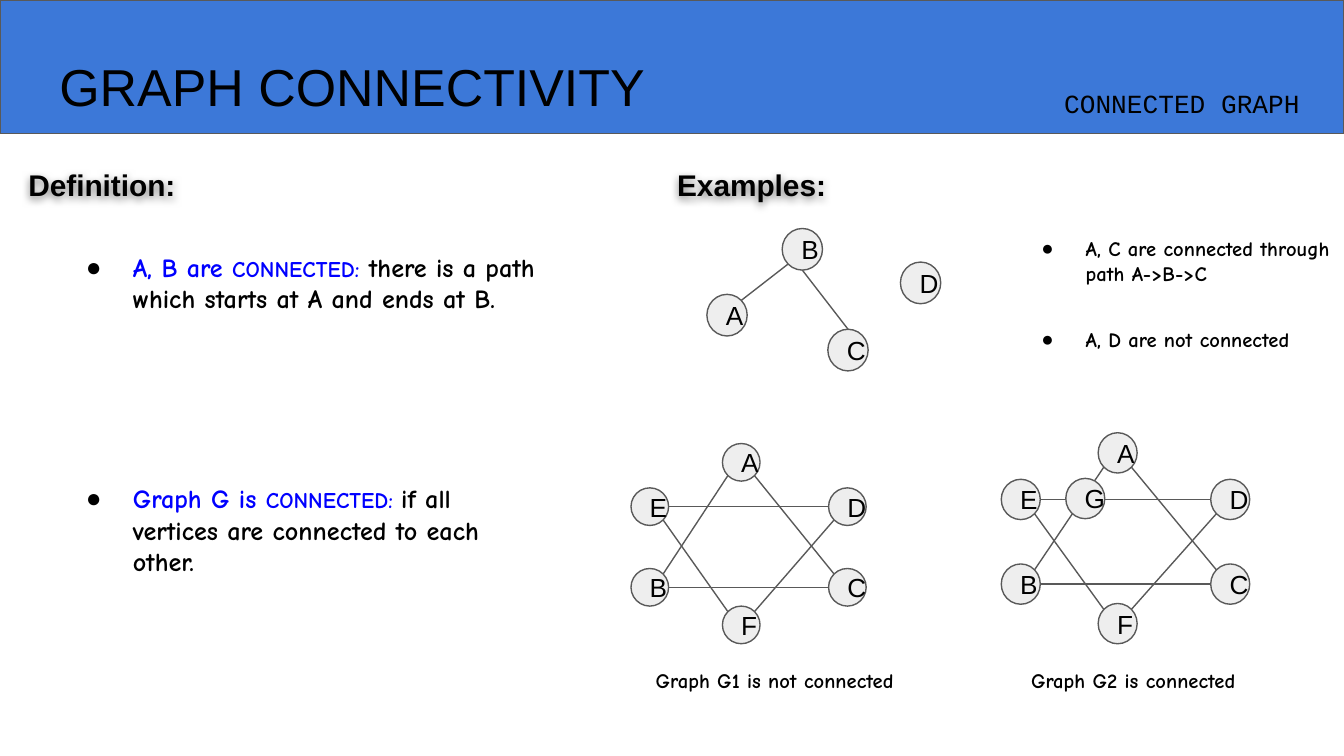
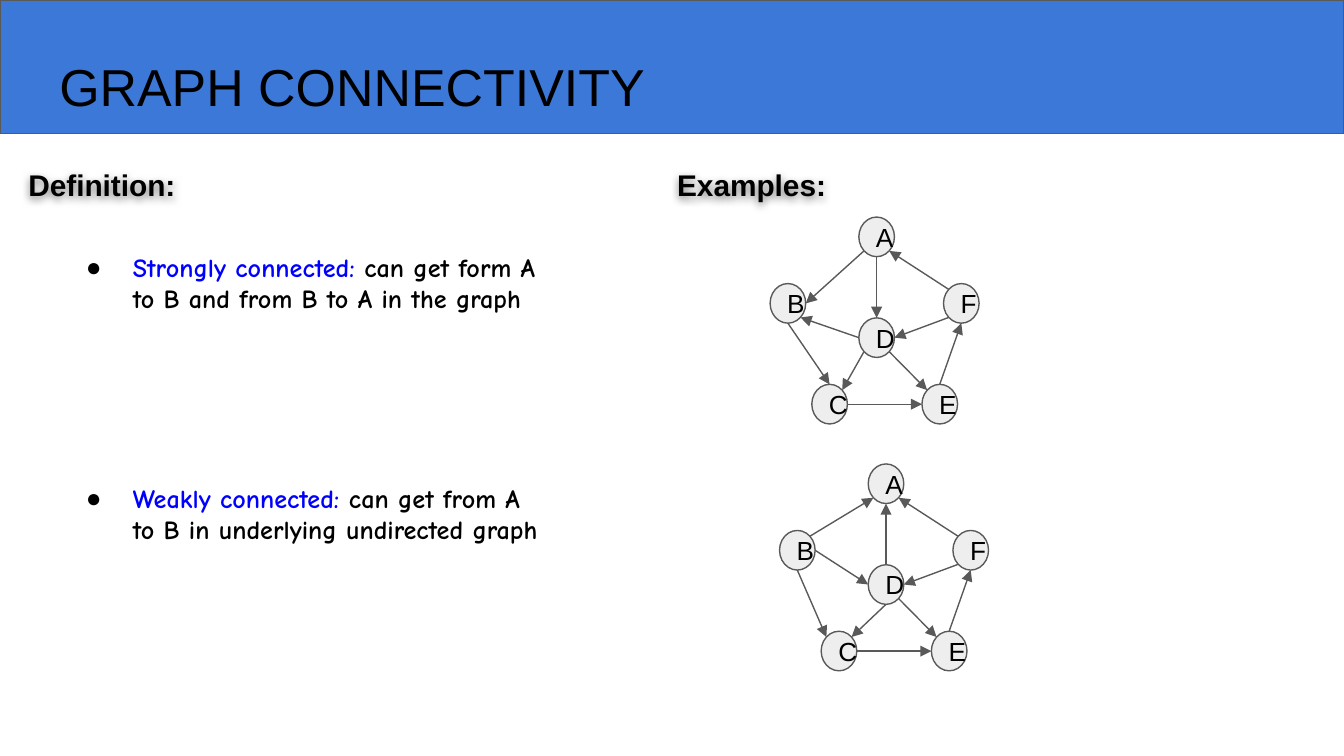
from lxml.etree import SubElement
from pptx import Presentation
from pptx.dml.color import RGBColor
from pptx.enum.shapes import MSO_CONNECTOR, MSO_SHAPE
from pptx.enum.text import MSO_ANCHOR, PP_ALIGN
from pptx.oxml.ns import qn
from pptx.util import Inches, Pt

# Grid: 100 columns by 56.25 rows of square cells
COLUMNS, ROWS = 100, 56.25
CELL = Inches(0.1)

COLOURS = {"band": "3C78D8", "outline": "595959", "node": "EEEEEE",
           "text": "000000", "term": "0000FF"}

# Font attributes for each kind of text
FORMATS = {
    "title": {"name": "Arial", "size": Pt(27.8)},
    "heading": {"name": "Arial", "size": Pt(16), "bold": True},
    "node": {"name": "Arial", "size": Pt(14)},
    "topic": {"name": "Courier New", "size": Pt(14)},
    "body": {"name": "Comic Neue", "size": Pt(14), "bold": True},
    "caps": {"name": "Comic Neue", "size": Pt(12), "bold": True},
    "note": {"name": "Comic Neue", "size": Pt(11), "bold": True},
}

# Places on a node's rim, as shares of its half width and half height
DIAGONAL = 0.71
RIM = {"n": (0, -1), "s": (0, 1), "w": (-1, 0), "e": (1, 0),
       "nw": (-DIAGONAL, -DIAGONAL), "ne": (DIAGONAL, -DIAGONAL),
       "sw": (-DIAGONAL, DIAGONAL), "se": (DIAGONAL, DIAGONAL)}

# Graph layouts: top left cell of each node, from the graph's own corner
PATH_NODES = {"A": (0, 4.9), "B": (5.6, 0), "D": (14.4, 2.5), "C": (9, 7.5)}
PATH_EDGES = ["A ne B sw", "B s C n"]
STAR_NODES = {"B": (0, 9.3), "C": (14.7, 9.3), "A": (6.8, 0),
              "D": (14.7, 3.3), "E": (0, 3.3), "F": (6.8, 12.1)}
STAR_EDGES = ["A sw B ne", "B e C w", "A se C nw",
              "E se F nw", "F ne D sw", "E e D w"]
PENTAGON_NODES = {"A": (6.6, 0), "B": (0, 4.95), "C": (3.1, 12.45),
                  "E": (11.3, 12.45), "F": (12.9, 4.95), "D": (6.6, 7.5)}
STRONG_EDGES = ["A sw B e", "B s C n", "C e E w", "E n F s", "F nw A se",
                "A s D n", "F sw D e", "D w B se", "D sw C ne", "D se E nw"]
WEAK_EDGES = ["B ne A sw", "F nw A se", "D n A s", "B s C nw", "D s C ne",
              "D se E nw", "E n F s", "C e E w", "B e D w", "F sw D e"]


def cells(*lengths):
    return [round(length * CELL) for length in lengths]


def colour(key):
    return RGBColor.from_string(COLOURS[key])


def add_run(paragraph, words, style, ink="text"):
    run = paragraph.add_run()
    run.text = words
    for attribute, value in FORMATS[style].items():
        setattr(run.font, attribute, value)
    run.font.color.rgb = colour(ink)


def set_margins(frame):
    for side in ("left", "right", "top", "bottom"):
        setattr(frame, f"margin_{side}", CELL)
    frame.word_wrap = True


def paint(shape, fill):
    shape.shadow.inherit = False
    shape.fill.solid()
    shape.fill.fore_color.rgb = colour(fill)
    draw_outline(shape)


def draw_outline(item):
    item.line.color.rgb = colour("outline")
    item.line.width = Pt(0.75)


def add_text(slide, place, *runs):
    """Each run is (words, style) or (words, style, ink)."""
    box = slide.shapes.add_textbox(*cells(*place))
    set_margins(box.text_frame)
    for run in runs:
        add_run(box.text_frame.paragraphs[0], *run)
    return box


def indent(box, hanging=0):
    """Indent the text; a hanging width also gives it a round bullet."""
    properties = box.text_frame.paragraphs[0]._p.get_or_add_pPr()
    properties.set("marL", str(Inches(0.5)))
    properties.set("indent", str(-Inches(hanging)))
    if hanging:
        ink = SubElement(properties, qn("a:buClr"))
        SubElement(ink, qn("a:srgbClr"), val=COLOURS["text"])
        SubElement(properties, qn("a:buFont"), typeface="Arial")
        SubElement(properties, qn("a:buChar"), char="●")


def add_heading(slide, words, left, width):
    heading = add_text(slide, (left, 11.4, width, 4.7), (words, "heading"))
    # Soft shadow below the letters
    effects = SubElement(heading._element.spPr, qn("a:effectLst"))
    shadow = SubElement(effects, qn("a:outerShdw"), blurRad=str(Pt(4.5)),
                        dist=str(Pt(1.5)), dir="5400000", algn="bl",
                        rotWithShape="0")
    ink = SubElement(shadow, qn("a:srgbClr"), val=COLOURS["text"])
    SubElement(ink, qn("a:alpha"), val="50000")


def add_definition(slide, top, height, *runs):
    indent(add_text(slide, (3.9, top, 37.3, height), *runs), 0.35)


def add_note(slide, words, left, top, height, hanging=0):
    note = add_text(slide, (left, top, 25.2, height), (words, "note"))
    indent(note, hanging)


def add_node(slide, letter, left, top, size):
    node = slide.shapes.add_shape(MSO_SHAPE.FLOWCHART_CONNECTOR,
                                  *cells(left, top, *size))
    paint(node, "node")
    frame = node.text_frame
    set_margins(frame)
    frame.vertical_anchor = MSO_ANCHOR.MIDDLE
    frame.paragraphs[0].alignment = PP_ALIGN.LEFT
    add_run(frame.paragraphs[0], letter, "node")


def add_edge(slide, start, end, directed):
    edge = slide.shapes.add_connector(MSO_CONNECTOR.STRAIGHT,
                                      *cells(*start, *end))
    draw_outline(edge)
    if directed:
        SubElement(edge.line._get_or_add_ln(), qn("a:tailEnd"), type="triangle")
    SubElement(edge._element.spPr, qn("a:effectLst"))


def add_graph(slide, corner, size, nodes, edges, scale=(1, 1), directed=False):
    corners = {letter: [origin + offset * factor for origin, offset, factor
                        in zip(corner, offsets, scale)]
               for letter, offsets in nodes.items()}

    def rim_point(letter, side):
        return [start + length / 2 * (1 + share) for start, length, share
                in zip(corners[letter], size, RIM[side])]

    for letter, place in corners.items():
        add_node(slide, letter, *place, size)
    for edge in edges:
        source, leaving, target, arriving = edge.split()
        add_edge(slide, rim_point(source, leaving),
                 rim_point(target, arriving), directed)


def add_base(deck, title_size):
    """Blank slide with the band, the title and both headings."""
    slide = deck.slides.add_slide(deck.slide_layouts[6])
    band = slide.shapes.add_shape(MSO_SHAPE.RECTANGLE,
                                  *cells(0, 0, COLUMNS, 9.92))
    paint(band, "band")
    add_text(slide, (3.43, 3.1, *title_size), ("GRAPH CONNECTIVITY", "title"))
    add_heading(slide, "Definition:", 1.13, 13)
    add_heading(slide, "Examples:", 49.4, 20.4)
    return slide


def build_connected(deck):
    slide = add_base(deck, (49.8, 6.7))
    add_text(slide, (78.2, 5.53, 23.7, 4.4), ("CONNECTED GRAPH", "topic"))

    # Definitions
    add_definition(slide, 17.7, 9.1,
                   ("A, B are ", "body", "term"),
                   ("CONNECTED:", "caps", "term"),
                   (" there is a path which starts at A and ends at B.", "body"))
    add_definition(slide, 34.9, 9.1,
                   ("Graph G is ", "body", "term"),
                   ("CONNECTED: ", "caps", "term"),
                   ("if all vertices are connected to each other.", "body"))

    # Path example
    add_graph(slide, (52.6, 17), (3, 3.1), PATH_NODES, PATH_EDGES)
    add_note(slide, "A, C are connected through path A->B->C",
             74.8, 16.6, 5.7, 0.33)
    add_note(slide, "A, D are not connected", 74.8, 23.4, 3.9, 0.33)

    # Star examples: G joins the two triangles of the second one
    add_graph(slide, (46.95, 33), (2.8, 2.8), STAR_NODES, STAR_EDGES)
    joined_size = (2.9, 3)
    add_graph(slide, (74.5, 32.2), joined_size, STAR_NODES, STAR_EDGES,
              scale=(1.06, 1.05))
    add_node(slide, "G", 79.3, 35.6, joined_size)
    add_note(slide, "Graph G1 is not connected", 42.8, 48.8, 5.7)
    add_note(slide, "Graph G2 is connected", 70.73, 48.8, 3.9)


def build_directed(deck):
    slide = add_base(deck, (60.3, 11.4))

    # Definitions
    add_definition(slide, 17.7, 9.1,
                   ("Strongly connected: ", "body", "term"),
                   ("can get form A to B and from B to A in the graph", "body"))
    add_definition(slide, 34.9, 11.4,
                   ("Weakly connected:", "body", "term"),
                   (" can get from A to B in underlying undirected graph", "body"))

    # Strong example above, weak example below
    for corner, edges in (((57.3, 16.15), STRONG_EDGES),
                          ((58, 34.52), WEAK_EDGES)):
        add_graph(slide, corner, (2.65, 2.95), PENTAGON_NODES, edges,
                  directed=True)


def main():
    deck = Presentation()
    deck.slide_width, deck.slide_height = cells(COLUMNS, ROWS)
    build_connected(deck)
    build_directed(deck)
    deck.save("out.pptx")


if __name__ == "__main__":
    main()
